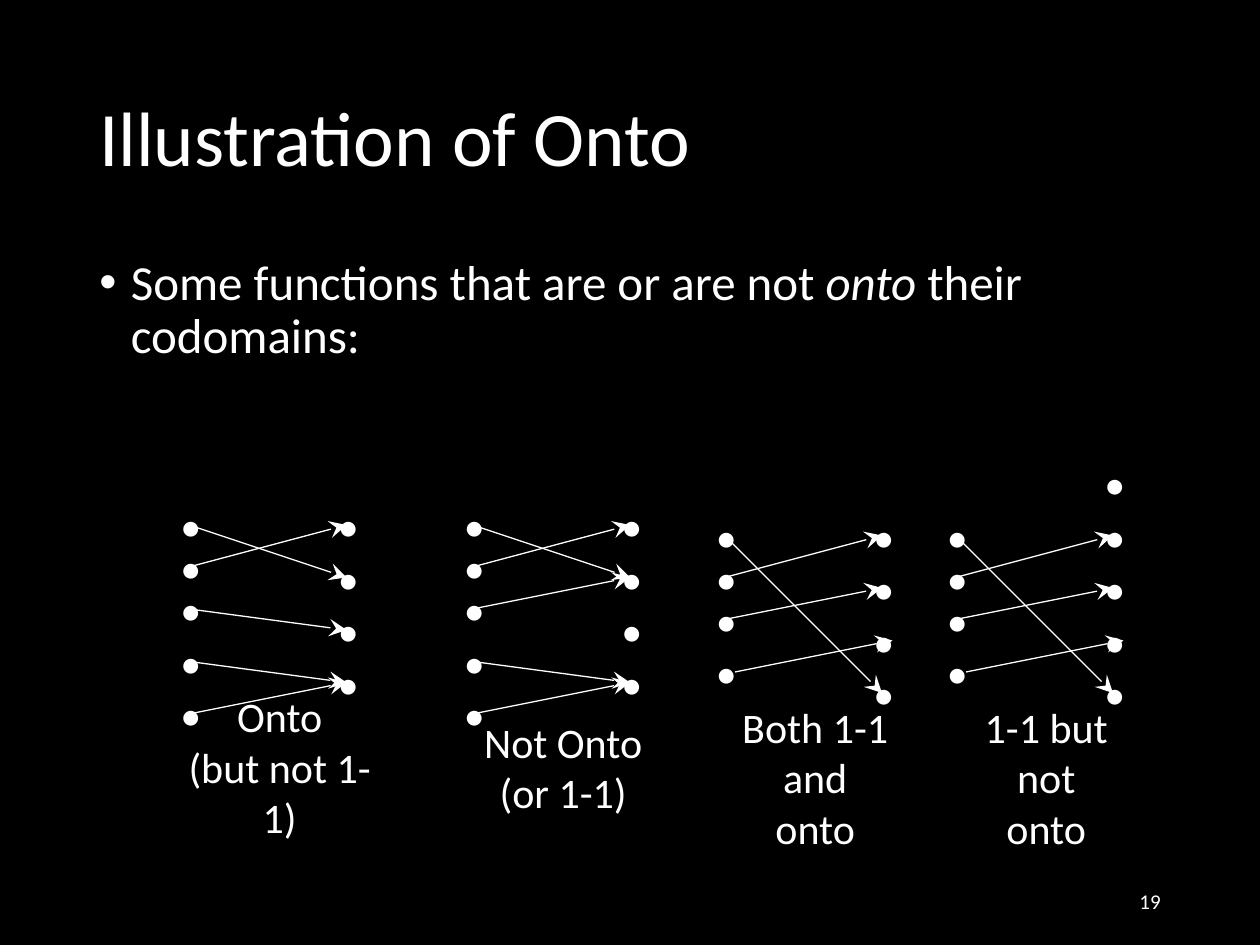
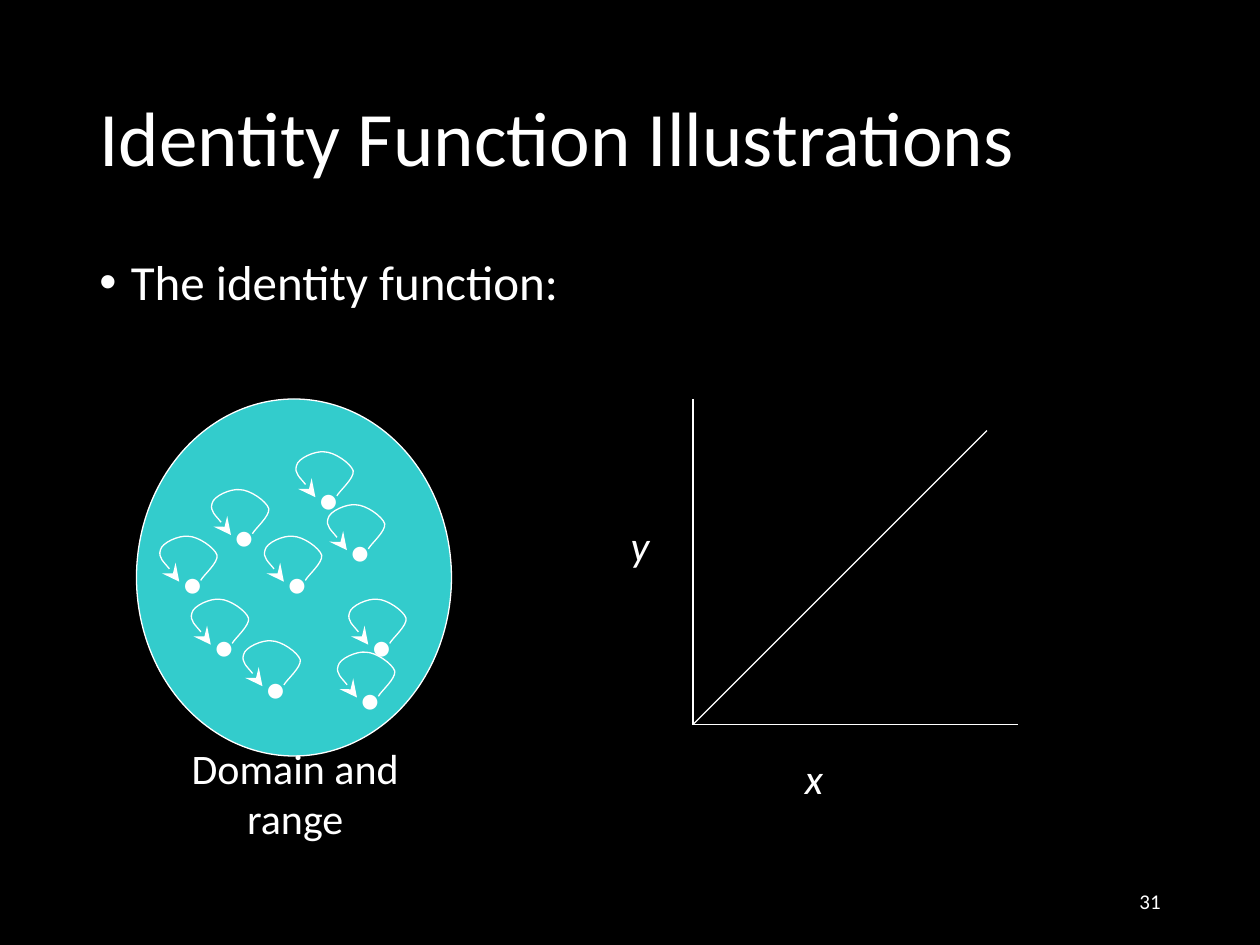
from pptx import Presentation
from pptx.dml.color import RGBColor
from pptx.enum.shapes import MSO_CONNECTOR as LINE, MSO_SHAPE as SHAPE
from pptx.enum.text import MSO_ANCHOR as ANCHOR, PP_ALIGN as ALIGN
from pptx.oxml.ns import qn
from pptx.util import Inches, Pt
from lxml.etree import SubElement

BLACK = RGBColor(0x00, 0x00, 0x00)
WHITE = RGBColor(0xFF, 0xFF, 0xFF)
TEAL = RGBColor(0x33, 0xCC, 0xCC)
FONT = "Calibri"
LINE_WIDTH = Pt(0.75)

# The drawings stand on a grid of twelfths of an inch
GRID = 1 / 12
LABEL_HEIGHT = 0.5
CAPTION_HEIGHT = 0.9
DOT_WIDTH = 0.32
MAP_WIDTH = 15 * GRID  # from the domain dots to the codomain dots
CAPTION_DROP = 23 * GRID  # from the top of a mapping to the middle of its caption

# Dot heights below the top of a mapping, in grid steps
FIVE_DOTS = [0, 4, 8, 13, 18]
FOUR_DOTS = [0, 4, 8, 13]
EVEN_DOTS = [0, 5, 10, 15]

# left, top, domain, codomain, arrows (from, to, shift), caption, caption centre, caption width
ONE_TO_ONE = [(1, 0, 0), (2, 1, 0), (0, 3, 0), (3, 2, 1)]
MAPPINGS = [
    (18, 50, FIVE_DOTS, EVEN_DOTS,
     [(0, 1, 0), (1, 0, 0), (2, 2, 0), (3, 3, 0), (4, 3, 0)],
     "Onto\v(but not 1-1)", 0.72, 1.87),
    (45, 50, FIVE_DOTS, EVEN_DOTS,
     [(0, 1, 0), (1, 0, 0), (2, 1, 0), (3, 3, 0), (4, 3, 0)],
     "Not Onto\v(or 1-1)", 0.72, 1.46),
    (69, 51, FOUR_DOTS, EVEN_DOTS, ONE_TO_ONE,
     "Both 1-1\vand onto", 0.72, 1.38),
    (91, 51, FOUR_DOTS, EVEN_DOTS + [-5], ONE_TO_ONE,
     "1-1 but\vnot onto", 0.72, 1.28),
]

# Dots of the identity function, measured from the top left of the set
IDENTITY_DOTS = [(0.83, 1.08), (1.25, 1.45), (1.83, 2.37), (1.92, 1.95), (1.75, 1.2),
                 (1.5, 0.78), (1.08, 2.28), (0.67, 1.95), (0.42, 1.45)]
# A loop as Bezier points, measured from its dot: the start, then three for each curve
LOOP_POINTS = [(0.09, -0.01),
               (0.11, -0.05), (0.23, -0.15), (0.22, -0.21),
               (0.2, -0.27), (0.07, -0.36), (-0.01, -0.36),
               (-0.08, -0.37), (-0.22, -0.31), (-0.23, -0.25),
               (-0.25, -0.19), (-0.11, -0.05), (-0.08, 0)]


def add_text(page, left, top, width, height, pieces, size,
             align=ALIGN.LEFT, anchor=ANCHOR.MIDDLE):
    """Add one paragraph made of (text, italic) pieces; \\v breaks a line."""
    box = page.shapes.add_textbox(Inches(left), Inches(top), Inches(width), Inches(height))
    frame = box.text_frame
    frame.word_wrap = True
    frame.vertical_anchor = anchor
    para = frame.paragraphs[0]
    para.alignment = align
    for text, italic in pieces:
        for number, line in enumerate(text.split("\v")):
            if number:
                para.add_line_break()
            span = para.add_run()
            span.text = line
            span.font.name = FONT
            span.font.size = Pt(size)
            span.font.italic = italic
            span.font.color.rgb = WHITE
    return box


def add_label(page, center_x, center_y, width, text, italic=False, height=LABEL_HEIGHT):
    box = add_text(page, center_x - width / 2, center_y - height / 2, width, height,
                   [(text, italic)], 24, ALIGN.CENTER)
    box.text_frame.paragraphs[0].space_before = Pt(6)
    return box


def add_dot(page, center_x, center_y):
    frame = add_label(page, center_x, center_y, DOT_WIDTH, "•").text_frame
    frame.margin_left = Inches(0.05)
    frame.margin_right = 0


def style_line(shape, arrow):
    shape.line.color.rgb = WHITE
    shape.line.width = LINE_WIDTH
    if arrow:
        SubElement(shape.line._get_or_add_ln(), qn("a:tailEnd"),
                   type="stealth", w="lg", len="lg")


def add_line(page, start, end, arrow=False):
    line = page.shapes.add_connector(LINE.STRAIGHT, *map(Inches, start + end))
    style_line(line, arrow)
    SubElement(line._element.spPr, qn("a:effectLst"))


def add_base_page(deck, title, body, number):
    """Add a page with the shared background, title, bullet and page number."""
    page = deck.slides.add_slide(deck.slide_layouts[6])
    page.background.fill.solid()
    page.background.fill.fore_color.rgb = BLACK

    title_box = add_text(page, 0.69, 0.4, 8.62, 1.45, [(title, False)], 44)
    title_box.text_frame.paragraphs[0].line_spacing = 0.9

    body_box = add_text(page, 0.69, 2, 8.62, 4.76, body, 28, anchor=ANCHOR.TOP)
    para = body_box.text_frame.paragraphs[0]
    para.line_spacing = 0.9
    para.space_before = Pt(10)
    props = para._p.get_or_add_pPr()
    props.set("marL", str(Inches(0.25)))
    props.set("indent", str(-Inches(0.25)))
    SubElement(props, qn("a:buFont"), typeface="Arial")
    SubElement(props, qn("a:buChar"), char="•")

    add_text(page, 7.06, 6.95, 2.25, 0.4, [(str(number), False)], 12, ALIGN.RIGHT)
    return page


def add_mapping(page, column, row, domain, codomain, arrows, caption, caption_x, caption_width):
    left, top = column * GRID, row * GRID
    right = left + MAP_WIDTH
    for x, steps in ((left, domain), (right, codomain)):
        for step in steps:
            add_dot(page, x - 0.01, top + step * GRID)
    for source, target, shift in arrows:
        add_line(page, (left + shift * GRID, top + domain[source] * GRID),
                 (right + shift * GRID, top + codomain[target] * GRID), arrow=True)
    add_label(page, left + caption_x, top + CAPTION_DROP, caption_width, caption,
              height=CAPTION_HEIGHT)


def curve_segments(shape):
    """Turn each three straight segments of a freeform into one Bezier curve."""
    segments = list(shape._element.iter(qn("a:lnTo")))
    outline = segments[0].getparent()
    for first in range(0, len(segments), 3):
        curve = SubElement(outline, qn("a:cubicBezTo"))
        for segment in segments[first:first + 3]:
            curve.append(segment[0])
            outline.remove(segment)


def add_loop(page, x, y):
    """Add a dot with an arrow that leads back to it."""
    add_dot(page, x, y)
    start, *rest = [(Inches(x + dx), Inches(y + dy)) for dx, dy in LOOP_POINTS]
    builder = page.shapes.build_freeform(*start)
    builder.add_line_segments(rest, close=False)
    loop = builder.convert_to_shape()
    curve_segments(loop)
    loop.shadow.inherit = False
    loop.fill.background()
    style_line(loop, arrow=True)


def add_identity_set(page, left, top, width, height):
    oval = page.shapes.add_shape(SHAPE.OVAL, *map(Inches, (left, top, width, height)))
    oval.shadow.inherit = False
    oval.fill.solid()
    oval.fill.fore_color.rgb = TEAL
    style_line(oval, arrow=False)
    for x, y in IDENTITY_DOTS:
        add_loop(page, left + x, top + y)
    add_label(page, left + width / 2 + 0.01, top + height + 0.29, 2.64, "Domain and range")


def add_identity_graph(page, left, top, size):
    bottom = top + size
    origin = (left, bottom)
    add_line(page, (left, top), origin)
    add_line(page, origin, (left + size, bottom))
    add_line(page, origin, (left + size - 0.25, top + 0.25))
    add_label(page, left + 0.96, bottom + 0.42, 0.35, "x", italic=True)
    add_label(page, left - 0.42, top + 1.16, 0.35, "y", italic=True)


def add_onto_page(deck):
    page = add_base_page(
        deck, "Illustration of Onto",
        [("Some functions that are or are not ", False), ("onto", True),
         (" their codomains:", False)], 19)
    for mapping in MAPPINGS:
        add_mapping(page, *mapping)


def add_identity_page(deck):
    page = add_base_page(deck, "Identity Function Illustrations",
                         [("The identity function:", False)], 31)
    add_identity_set(page, 13 * GRID, 38 * GRID, 30 * GRID, 34 * GRID)
    add_identity_graph(page, 66 * GRID, 38 * GRID, 31 * GRID)


def main():
    deck = Presentation()
    deck.slide_width = Inches(10)
    deck.slide_height = Inches(7.5)
    add_onto_page(deck)
    add_identity_page(deck)
    deck.save("out.pptx")


if __name__ == "__main__":
    main()
